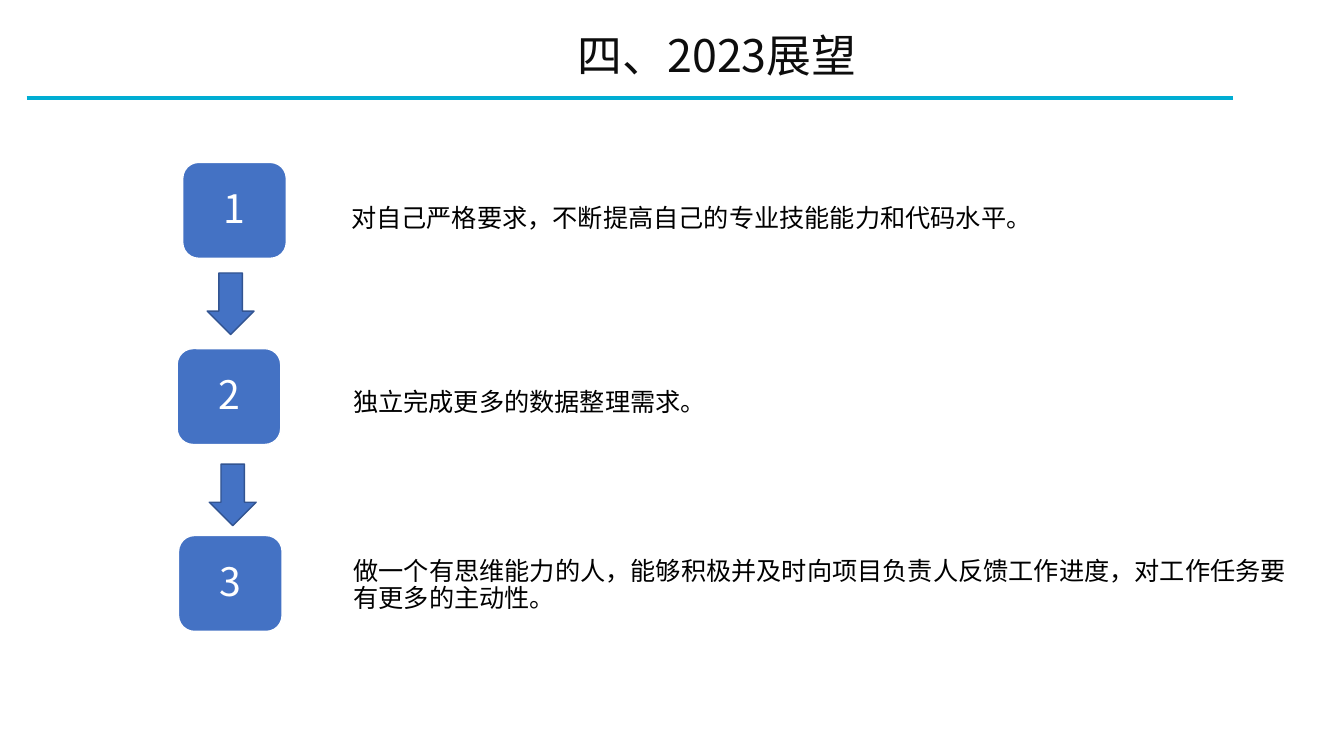
from lxml import etree
from pptx import Presentation
from pptx.dml.color import RGBColor
from pptx.enum.shapes import MSO_CONNECTOR, MSO_SHAPE
from pptx.enum.text import MSO_ANCHOR, MSO_AUTO_SIZE, PP_ALIGN
from pptx.oxml.ns import qn
from pptx.util import Pt

FONT = "Noto Sans CJK SC"
BLUE = "4472C4"
ROUND, DOWN = MSO_SHAPE.ROUNDED_RECTANGLE, MSO_SHAPE.DOWN_ARROW
STRAIGHT = MSO_CONNECTOR.STRAIGHT
TOP, MIDDLE = MSO_ANCHOR.TOP, MSO_ANCHOR.MIDDLE
LEFT, CENTER = PP_ALIGN.LEFT, PP_ALIGN.CENTER
NO_FIT = MSO_AUTO_SIZE.NONE


def rgb(color):
    return RGBColor.from_string(color)


def write(sp, text, size, color, align, anchor, inset_x, inset_y, spacing):
    tf = sp.text_frame
    frame = {"word_wrap": True, "auto_size": NO_FIT, "vertical_anchor": anchor,
             "margin_left": Pt(inset_x), "margin_right": Pt(inset_x),
             "margin_top": Pt(inset_y), "margin_bottom": Pt(inset_y)}
    for name, value in frame.items():
        setattr(tf, name, value)
    p = tf.paragraphs[0]
    p.alignment, p.line_spacing = align, spacing
    r = p.add_run()
    r.text = text
    for name, value in {"name": FONT, "size": Pt(size), "bold": False}.items():
        setattr(r.font, name, value)
    r.font.color.rgb = rgb(color)
    ea = etree.SubElement(r.font._element, qn("a:ea"))
    ea.set("typeface", FONT)


prs = Presentation()
prs.slide_width, prs.slide_height = Pt(960), Pt(540)
s = prs.slides.add_slide(prs.slide_layouts[5])

title = s.shapes.title
title.left, title.top, title.width, title.height = Pt(251.5), Pt(19.5), Pt(521.5), Pt(39.5)
write(title, "四、2023展望", 32, "0D0D0D", CENTER, MIDDLE, 6, 3, 1)

rule = s.shapes.add_connector(STRAIGHT, Pt(19), Pt(70), Pt(880.5), Pt(70))
rule.line.color.rgb = rgb("00ADD3")
rule.line.width = Pt(3)
etree.SubElement(rule._element.spPr, qn("a:effectLst"))

shapes = [
    (ROUND, 130.5, 116, 74, 68.5, "FFFFFF", "1"),
    (ROUND, 126.5, 249, 74, 68.5, "FFFFFF", "2"),
    (ROUND, 127.5, 382.5, 74, 68.5, "FFFFFF", "3"),
    (DOWN, 148, 195, 33.5, 44, "325491", ""),
    (DOWN, 149.5, 331.5, 33.5, 44, "325491", ""),
]
for kind, x, y, w, h, outline, number in shapes:
    sp = s.shapes.add_shape(kind, Pt(x), Pt(y), Pt(w), Pt(h))
    sp.shadow.inherit = False
    sp.fill.solid()
    sp.fill.fore_color.rgb = rgb(BLUE)
    sp.line.color.rgb = rgb(outline)
    sp.line.width = Pt(1)
    if number:
        write(sp, number, 28, "FFFFFF", CENTER, MIDDLE, 8.5, 8.5, 0.9)

goals = [
    ("对自己严格要求，不断提高自己的专业技能能力和代码水平。",
     236, 143.5, 515.5, 26.5, CENTER, TOP, 7.2, 3.6),
    ("独立完成更多的数据整理需求。",
     183.5, 270, 389.5, 36.5, CENTER, MIDDLE, 5, 5),
    ("做一个有思维能力的人，能够积极并及时向项目负责人反馈工作进度，对工作任务要有更多的主动性。",
     247.5, 389, 687.5, 58.5, LEFT, MIDDLE, 5, 5),
]
for text, x, y, w, h, align, anchor, inset_x, inset_y in goals:
    box = s.shapes.add_textbox(Pt(x), Pt(y), Pt(w), Pt(h))
    write(box, text, 18, "000000", align, anchor, inset_x, inset_y, 0.9)

prs.save("out.pptx")
